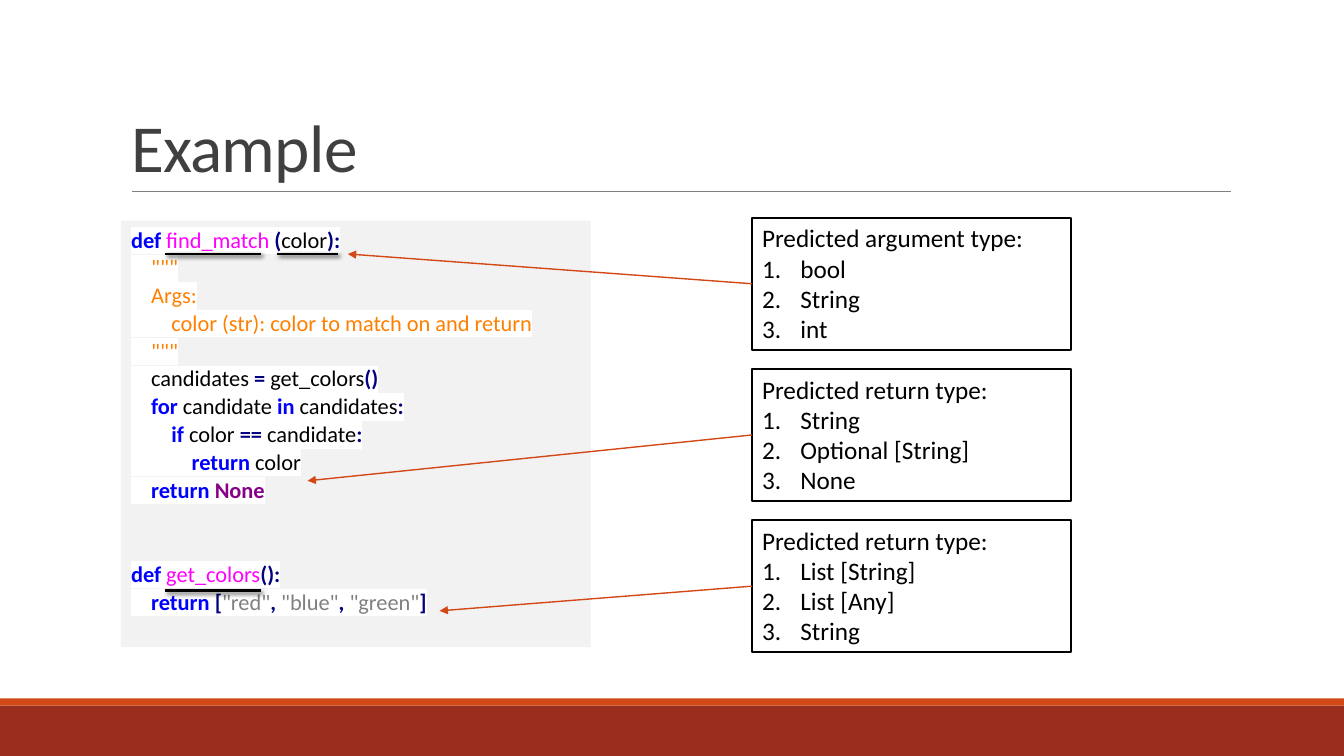
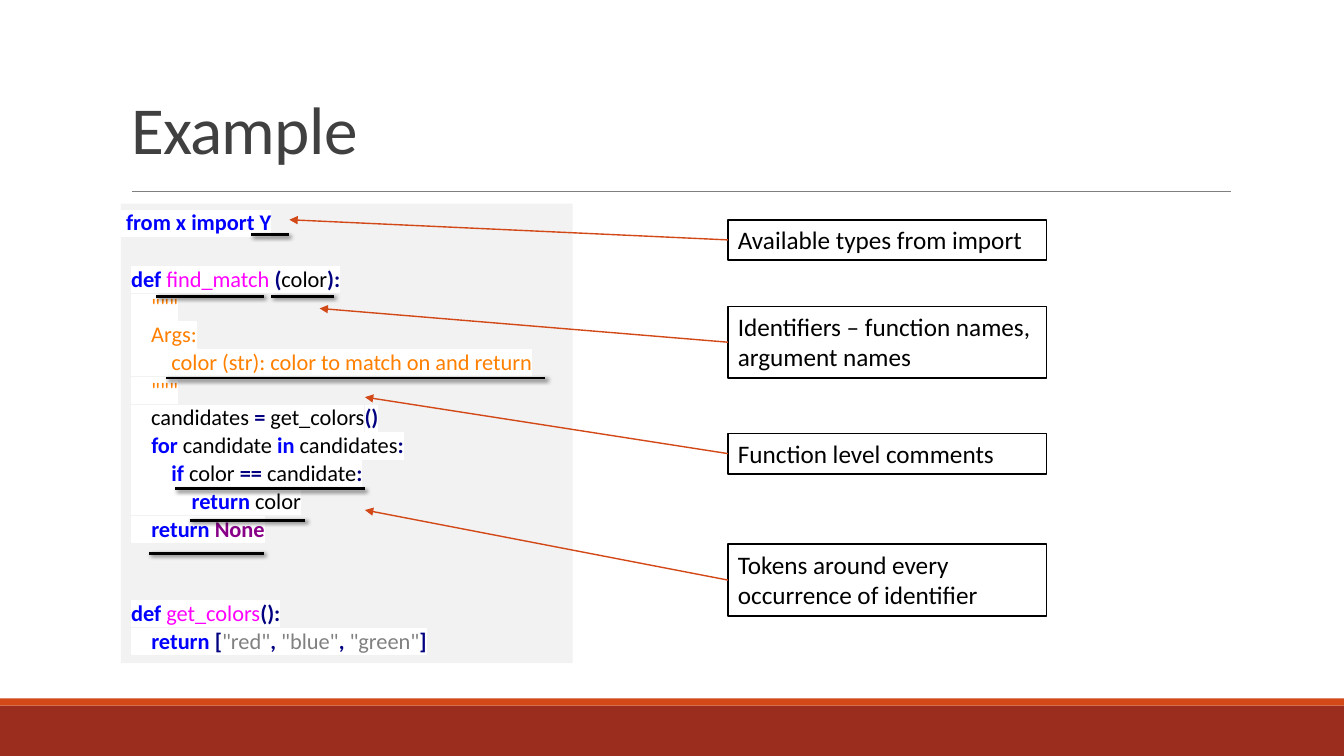
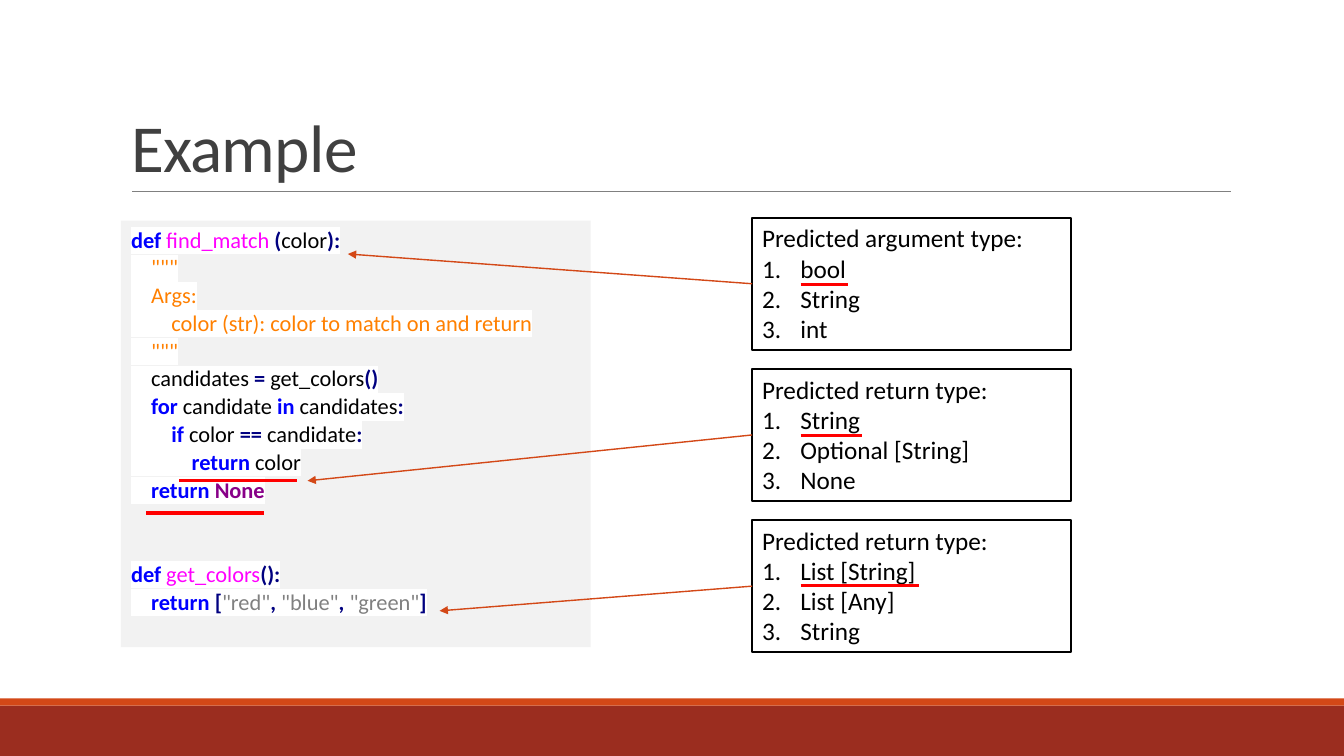
from dataclasses import dataclass

from lxml import etree
from pptx import Presentation
from pptx.dml.color import RGBColor
from pptx.enum import shapes, text
from pptx.oxml import ns
from pptx.util import Inches, Pt


@dataclass(frozen=True)
class Theme:
    font: str = "Calibri"
    title_size: float = 48
    code_size: float = 16
    callout_size: float = 18
    line_gap: float = 0.65
    code_line: float = 20.2
    title: str = "404040"
    rule: str = "808080"
    band: str = "9B2D1F"
    accent: str = "D34817"
    panel: str = "F2F2F2"
    paper: str = "FFFFFF"
    ink: str = "000000"
    answer: str = "FF0000"


THEME = Theme()

# Token kinds of the code listing: colour, bold
PLAIN = (THEME.ink, False)
KEYWORD = ("0000FF", True)
NAME = ("FF00FF", False)
SIGN = ("000080", True)
DOC = ("FF8000", False)
STRING = ("808080", False)
CONSTANT = ("880088", True)

IMPORT_LINE = [(KEYWORD, " from x import Y")]
FIND_MATCH = [
    [(KEYWORD, "def"), (PLAIN, " "), (NAME, "find_match "), (SIGN, "("),
     (PLAIN, "color"), (SIGN, "):")],
    [(DOC, '    """')],
    [(DOC, "    Args:")],
    [(DOC, "        color (str): color to match on and return")],
    [(DOC, '    """')],
    [(PLAIN, "    candidates "), (SIGN, "="), (PLAIN, " get_colors"),
     (SIGN, "()")],
    [(PLAIN, "    "), (KEYWORD, "for"), (PLAIN, " candidate "),
     (KEYWORD, "in"), (PLAIN, " candidates"), (SIGN, ":")],
    [(PLAIN, "        "), (KEYWORD, "if"), (PLAIN, " color "), (SIGN, "=="),
     (PLAIN, " candidate"), (SIGN, ":")],
    [(PLAIN, "            "), (KEYWORD, "return"), (PLAIN, " color")],
    [(PLAIN, "    "), (KEYWORD, "return"), (PLAIN, " "), (CONSTANT, "None")],
]
GET_COLORS = [
    [(KEYWORD, "def"), (PLAIN, " "), (NAME, "get_colors"), (SIGN, "():")],
    [(PLAIN, "    "), (KEYWORD, "return"), (PLAIN, " "), (SIGN, "["),
     (STRING, '"red"'), (SIGN, ","), (PLAIN, " "), (STRING, '"blue"'),
     (SIGN, ","), (PLAIN, " "), (STRING, '"green"'), (SIGN, "]")],
]

# Heading, ranked types, tip of the arrow
PREDICTIONS = [
    ("Predicted argument type:", ["bool", "String", "int"], (3.45, 2.52)),
    ("Predicted return type:", ["String", "Optional [String]", "None"],
     (3.05, 4.77)),
    ("Predicted return type:", ["List [String]", "List [Any]", "String"],
     (4.36, 6.06)),
]
# Wording, top, height, tip of the arrow
FEATURES = [
    ("Available types from import", 2.18, 0.4, (2.87, 2.18)),
    ("Identifiers – function names, argument names", 3.04, 0.71,
     (3.17, 3.06)),
    ("Function level comments", 4.3, 0.4, (3.62, 3.94)),
    ("Tokens around every occurrence of identifier", 5.4, 0.71,
     (3.62, 5.06)),
]
# Underlines: left, right, height on the slide
SIGNATURE_MARKS = [(2.75, 3.35, 2.52), (1.64, 2.59, 2.52), (1.64, 2.59, 5.86)]
FEATURE_MARKS = [(1.55, 2.62, 2.94), (1.65, 5.41, 3.75), (1.74, 3.62, 4.85),
                 (1.88, 3.03, 5.16), (1.48, 2.62, 5.49), (2.69, 3.31, 2.94),
                 (2.49, 2.87, 2.33)]
ANSWER_MARKS = [(7.94, 8.41, 2.82), (7.94, 8.55, 4.32), (7.94, 9.12, 5.81),
                (1.78, 2.95, 4.77), (1.45, 2.62, 5.09)]


def rgb(value):
    return RGBColor.from_string(value)


def add_xml(parent, tag, **attributes):
    return etree.SubElement(parent, ns.qn(tag), attributes)


class Deck:
    def __init__(self, theme):
        self.theme = theme
        self.presentation = Presentation()
        self.presentation.slide_width = Inches(13.33)
        self.presentation.slide_height = Inches(7.5)
        self.layout = self.presentation.slide_layouts[5]
        self.slide = None

    def new_slide(self, title, title_height=1.59):
        first = self.slide is None
        self.slide = self.presentation.slides.add_slide(self.layout)
        if first:
            self.build_layout()
        heading = self.slide.shapes.title
        heading.left, heading.top = Inches(1.2), Inches(0.31)
        heading.width, heading.height = Inches(11), Inches(title_height)
        frame = heading.text_frame
        frame.text = title
        frame.word_wrap = True
        frame.auto_size = text.MSO_AUTO_SIZE.NONE
        frame.vertical_anchor = text.MSO_ANCHOR.BOTTOM
        paragraph = frame.paragraphs[0]
        paragraph.alignment = text.PP_ALIGN.LEFT
        paragraph.line_spacing = 0.85
        run = paragraph.runs[0]
        self.format_run(run, self.theme.title_size, self.theme.title)
        run._r.get_or_add_rPr().set("spc", "-50")

    def build_layout(self):
        """Put the bands and the title rule on the layout all slides use."""
        for placeholder in list(self.layout.placeholders):
            if placeholder.placeholder_format.type != shapes.PP_PLACEHOLDER.TITLE:
                placeholder.element.getparent().remove(placeholder.element)
        parts = [
            self.box(0, 7, 13.33, 0.5, self.theme.band),
            self.box(0, 6.93, 13.33, 0.07, self.theme.accent),
            self.line((1.31, 1.9), (12.21, 1.9), self.theme.rule, 0.5),
        ]
        for part in parts:
            self.layout.shapes.element.append(part.element)

    def format_run(self, run, size, color, bold=False):
        run.font.size = Pt(size)
        run.font.bold = bold
        run.font.color.rgb = rgb(color)
        run.font.name = self.theme.font

    def box(self, left, top, width, height, fill, outline=None):
        box = self.slide.shapes.add_shape(
            shapes.MSO_SHAPE.RECTANGLE,
            Inches(left), Inches(top), Inches(width), Inches(height))
        box.shadow.inherit = False
        box.fill.solid()
        box.fill.fore_color.rgb = rgb(fill)
        if outline:
            box.line.color.rgb = rgb(outline)
            box.line.width = Pt(1.25)
        else:
            box.line.fill.background()
        box.text_frame.word_wrap = True
        box.text_frame.vertical_anchor = text.MSO_ANCHOR.TOP
        return box

    def line(self, start, end, color, width):
        line = self.slide.shapes.add_connector(
            shapes.MSO_CONNECTOR.STRAIGHT, *map(Inches, start + end))
        line.line.color.rgb = rgb(color)
        line.line.width = Pt(width)
        add_xml(line.element.spPr, "a:effectLst")
        return line

    def code(self, left, top, width, height, lines, gaps):
        """Draw a listing; gaps maps a line number to empty lines above it."""
        panel = self.box(left, top, width, height, self.theme.panel)
        frame = panel.text_frame
        frame.margin_left = frame.margin_right = 0
        for number, tokens in enumerate(lines):
            paragraph = frame.paragraphs[0] if number == 0 else frame.add_paragraph()
            paragraph.alignment = text.PP_ALIGN.LEFT
            paragraph.space_after = Pt(self.theme.line_gap)
            paragraph.space_before = Pt(
                self.theme.code_line * gaps.get(number, 0))
            if tokens is not IMPORT_LINE:
                paragraph._p.get_or_add_pPr().set("marL", str(Inches(0.1)))
            for (color, bold), wording in tokens:
                run = paragraph.add_run()
                run.text = wording
                self.format_run(run, self.theme.code_size, color, bold)
                self.highlight(run)

    def highlight(self, run):
        properties = run._r.get_or_add_rPr()
        marker = add_xml(properties, "a:highlight")
        add_xml(marker, "a:srgbClr", val=self.theme.paper)
        properties.find(ns.qn("a:solidFill")).addnext(marker)

    def callout(self, left, top, height, heading, tip, ranked=()):
        """Draw a framed note with an arrow from its left side to tip."""
        note = self.box(left, top, 3.16, height, self.theme.paper,
                        self.theme.ink)
        frame = note.text_frame
        frame.text = "\n".join([heading, *ranked])
        for number, paragraph in enumerate(frame.paragraphs):
            paragraph.alignment = text.PP_ALIGN.LEFT
            self.format_run(paragraph.runs[0], self.theme.callout_size,
                            self.theme.ink)
            if number:
                properties = paragraph._p.get_or_add_pPr()
                properties.set("marL", str(Inches(0.38)))
                properties.set("indent", str(-Inches(0.38)))
                add_xml(properties, "a:buFont", typeface="+mj-lt")
                add_xml(properties, "a:buAutoNum", type="arabicPeriod")
        arrow = self.line((left, top + height / 2), tip, self.theme.accent, 1)
        arrow.begin_connect(note, 1)
        add_xml(arrow.line._get_or_add_ln(), "a:tailEnd", type="triangle")

    def underlines(self, marks, color, width, shadow=False):
        for left, right, y in marks:
            mark = self.line((left, y), (right, y), color, width)
            if shadow:
                effects = mark.element.spPr.find(ns.qn("a:effectLst"))
                cast = add_xml(effects, "a:outerShdw", blurRad=str(Pt(3)),
                               dist=str(Pt(2)), dir="2700000")
                tint = add_xml(cast, "a:srgbClr", val=self.theme.ink)
                add_xml(tint, "a:alpha", val="60000")


def prediction_slide(deck):
    deck.new_slide("Example")
    deck.code(1.2, 2.19, 4.66, 4.23, FIND_MATCH + GET_COLORS,
              {len(FIND_MATCH): 2})
    for row, (heading, ranked, tip) in enumerate(PREDICTIONS):
        deck.callout(7.46, 2.16 + 1.5 * row, 1.31, heading, tip, ranked)


def feature_slide(deck):
    deck.new_slide("Example", title_height=1.41)
    deck.code(1.2, 2.02, 4.48, 4.56, [IMPORT_LINE] + FIND_MATCH + GET_COLORS,
              {1: 1, 1 + len(FIND_MATCH): 2})
    for wording, top, height, tip in FEATURES:
        deck.callout(7.22, top, height, wording, tip)
    deck.underlines(FEATURE_MARKS, THEME.ink, 2, shadow=True)


def main():
    deck = Deck(THEME)
    prediction_slide(deck)
    deck.underlines(SIGNATURE_MARKS, THEME.ink, 2, shadow=True)
    feature_slide(deck)
    prediction_slide(deck)
    deck.underlines(ANSWER_MARKS, THEME.answer, 2.25)
    deck.presentation.save("out.pptx")


if __name__ == "__main__":
    main()
